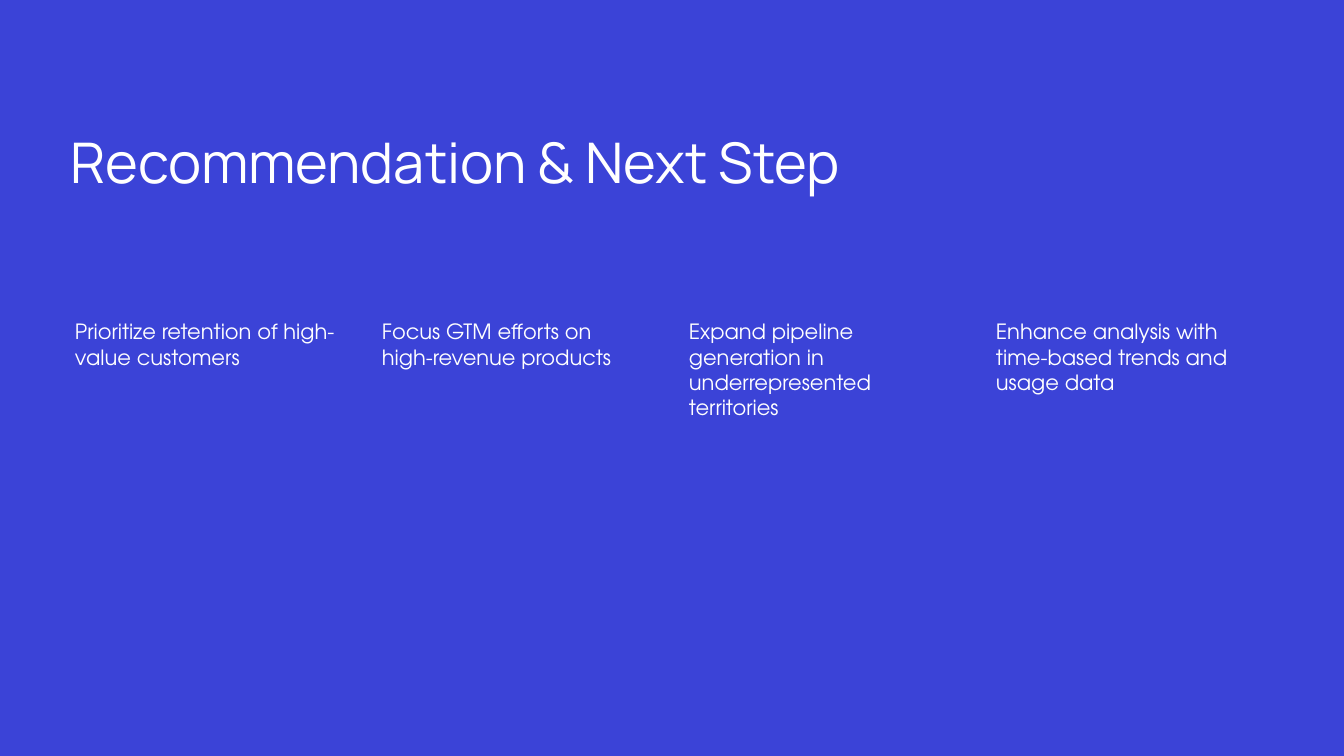
from pptx import Presentation
from pptx.dml.color import RGBColor
from pptx.enum.text import MSO_ANCHOR, MSO_AUTO_SIZE, PP_ALIGN
from pptx.util import Emu, Pt

SCALE = 12192000 / 1344
COLORS = {"background": "3B43D7", "text": "FFFFFF"}
TITLE_FONT = "Manrope"
BODY_FONT = "TeX Gyre Adventor"
RECOMMENDATIONS = [
    "Prioritize retention of high-value customers",
    "Focus GTM efforts on high-revenue products",
    "Expand pipeline generation in underrepresented territories",
    "Enhance analysis with time-based trends and usage data",
]


def px(length):
    """Turn a length in px into EMU."""
    return Emu(round(length * SCALE))


def add_span(para, text, font_name, size):
    """Add one formatted run of text to a paragraph."""
    span = para.add_run()
    span.text = text
    span.font.name = font_name
    span.font.size = Pt(size)
    span.font.color.rgb = RGBColor.from_string(COLORS["text"])


def fill_title(page, left, top, width, height):
    """Place and write the slide title."""
    title = page.shapes.title
    title.left, title.top, title.width, title.height = map(px, (left, top, width, height))
    frame = title.text_frame
    frame.word_wrap = True
    frame.auto_size = MSO_AUTO_SIZE.NONE
    frame.vertical_anchor = MSO_ANCHOR.BOTTOM
    para = frame.paragraphs[0]
    para.alignment = PP_ALIGN.LEFT
    para.line_spacing = 0.9
    add_span(para, "Recommendation & Next Step", TITLE_FONT, 40)


def add_recommendations(page, left, top, width, height, gap):
    """Spread the recommendations over equal columns of the given box."""
    count = len(RECOMMENDATIONS)
    column = (width - gap * (count - 1)) / count
    for index, text in enumerate(RECOMMENDATIONS):
        box = page.shapes.add_textbox(
            px(left + index * (column + gap)), px(top), px(column), px(height))
        frame = box.text_frame
        frame.word_wrap = True
        frame.margin_left = px(15)
        frame.margin_top = frame.margin_right = frame.margin_bottom = px(2)
        add_span(frame.paragraphs[0], text, BODY_FONT, 15)


def main():
    """Build the deck and save it."""
    deck = Presentation()
    deck.slide_width, deck.slide_height = px(1344), px(756)
    page = deck.slides.add_slide(deck.slide_layouts[5])
    fill = page.background.fill
    fill.solid()
    fill.fore_color.rgb = RGBColor.from_string(COLORS["background"])
    fill_title(page, 60, 76, 1225, 125)
    add_recommendations(page, 60, 317, 1200, 107, 28)
    deck.save("out.pptx")


if __name__ == "__main__":
    main()
